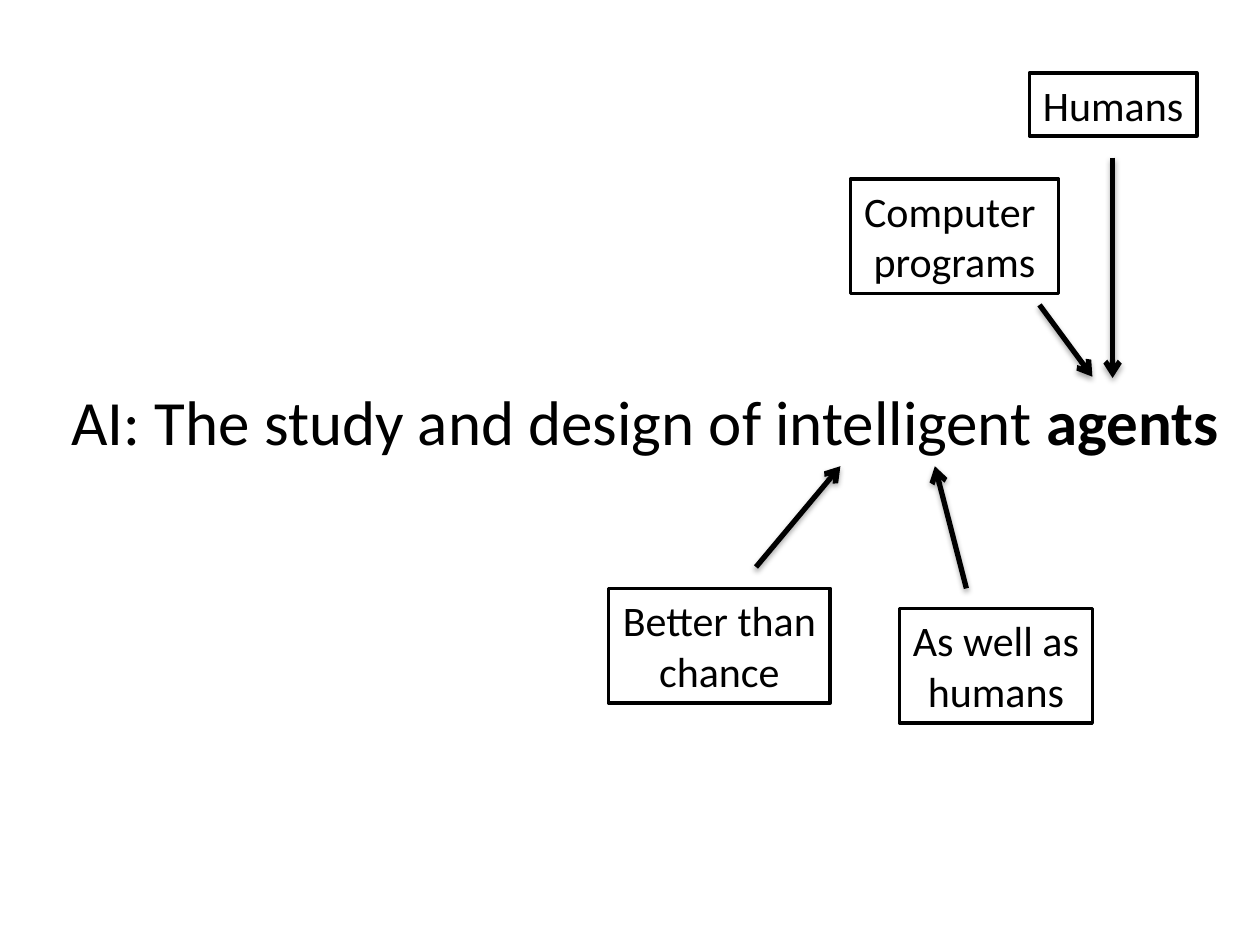
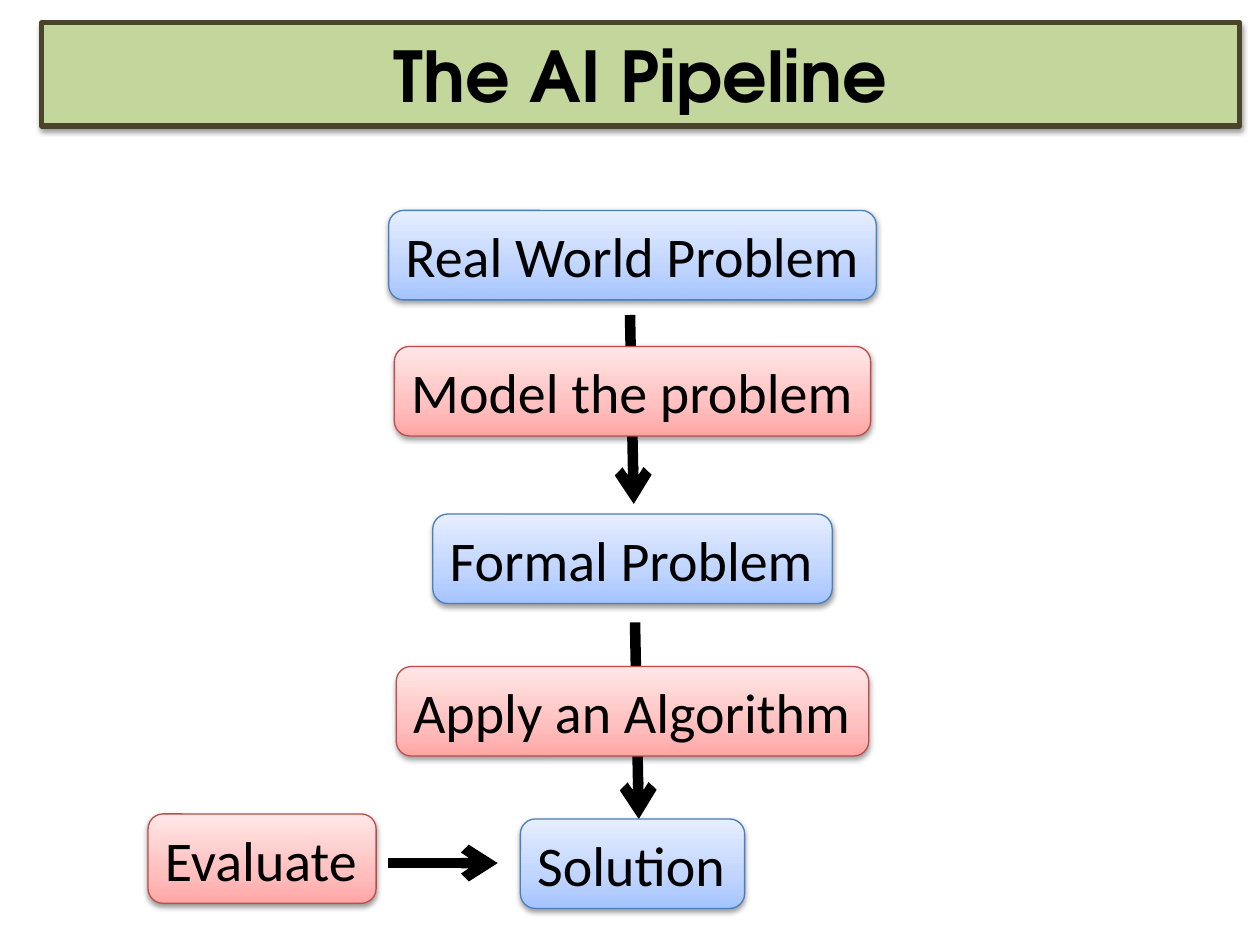
from lxml.etree import SubElement
from pptx import Presentation
from pptx.dml.color import RGBColor
from pptx.enum.shapes import MSO_CONNECTOR as CONN, MSO_SHAPE as SHAPE
from pptx.enum.text import MSO_ANCHOR as ANCHOR, MSO_AUTO_SIZE as FIT, PP_ALIGN as ALIGN
from pptx.oxml.ns import qn
from pptx.util import Inches, Pt

COLORS = {"black": "000000", "white": "FFFFFF", "band": "C3D69B", "band_line": "4A452A"}
STAGES = {
    "problem": {"line": "4B7EBC", "stops": [(0, "A4C4FF"), (35, "BFD4FF"), (100, "E6EEFF")]},
    "action": {"line": "BF4C48", "stops": [(0, "FFA6A5"), (35, "FFC0BF"), (100, "FFE7E7")]},
}
BODY, HEADING = "Calibri", "TeX Gyre Adventor"
BOX_SHADOW, ARROW_SHADOW = (38, 1.57), (35, 1.81)

STATEMENT = [("AI: The study and design of intelligent ", False), ("agents", True)]
NOTES = [
    (["Computer ", "programs"], (6.75, 1.42, 1.65, 0.91)),
    (["Better than", "chance"], (4.83, 4.67, 1.76, 0.91)),
    (["As well as", "humans"], (7.14, 4.83, 1.53, 0.91)),
    (["Humans"], (8.17, 0.58, 1.33, 0.5)),
]
NOTE_ARROWS = [
    (8.25, 2.42, 8.67, 2.99),
    (6, 4.5, 6.67, 3.7),
    (7.67, 4.67, 7.42, 3.7),
    (8.83, 1.25, 8.83, 3),
]

TITLE = "The AI Pipeline"
AXIS, EVALUATE_AXIS, STEP_HEIGHT = 5.02, 2.08, 0.71
STEPS = [
    ("Real World Problem", "problem", AXIS, 1.67, 3.87),
    ("Model the problem", "action", AXIS, 2.75, 3.78),
    ("Formal Problem", "problem", AXIS, 4.08, 3.17),
    ("Apply an Algorithm", "action", AXIS, 5.29, 3.75),
    ("Solution", "problem", AXIS, 6.5, 1.78),
    ("Evaluate", "action", EVALUATE_AXIS, 6.46, 1.81),
]
STEP_ARROWS = [
    (5, 2.5, 5.03, 4),
    (5.04, 4.94, 5.07, 6.5),
    (3.08, 6.85, 3.95, 6.85),
]


def rgb(value):
    return RGBColor.from_string(value)


def set_line(shape, color, width):
    shape.line.color.rgb = rgb(color)
    shape.line.width = Pt(width)


def set_effects(shape, shadow=None):
    effects = SubElement(shape._element.spPr, qn("a:effectLst"))
    if shadow:
        alpha, dist = shadow
        outer = SubElement(effects, qn("a:outerShdw"), blurRad=str(Pt(3.15)),
                           dist=str(Pt(dist)), dir="5400000", rotWithShape="0")
        color = SubElement(outer, qn("a:srgbClr"), val=COLORS["black"])
        SubElement(color, qn("a:alpha"), val=str(alpha * 1000))


def set_gradient(shape, stops):
    shape.fill.gradient()
    shape.fill.gradient_angle = 90
    stop_list = shape._element.spPr.find(".//" + qn("a:gsLst"))
    stop_list.clear()
    for pos, color in stops:
        stop = SubElement(stop_list, qn("a:gs"), pos=str(pos * 1000))
        SubElement(stop, qn("a:srgbClr"), val=color)


def set_font(p, size, name=BODY, align=ALIGN.CENTER):
    p.alignment = align
    p.font.size, p.font.name = Pt(size), name
    p.font.color.rgb = rgb(COLORS["black"])


def add_arrow(s, ends, width, shadow=None):
    arrow = s.shapes.add_connector(CONN.STRAIGHT, *map(Inches, ends))
    set_line(arrow, COLORS["black"], width)
    SubElement(arrow.line._get_or_add_ln(), qn("a:tailEnd"), type="arrow")
    set_effects(arrow, shadow)


def add_box(s, kind, box, lines, size, align, anchor):
    sp = s.shapes.add_shape(kind, *map(Inches, box))
    tf = sp.text_frame
    tf.text = "\n".join(lines)
    tf.word_wrap, tf.auto_size, tf.vertical_anchor = False, FIT.SHAPE_TO_FIT_TEXT, anchor
    for p in tf.paragraphs:
        set_font(p, size, align=align)
    return sp


def build_definition(prs):
    s = prs.slides.add_slide(prs.slide_layouts[6])
    tf = s.shapes.add_textbox(*map(Inches, (-0.17, 2.99, 10.58, 0.71))).text_frame
    tf.word_wrap, tf.auto_size = True, FIT.SHAPE_TO_FIT_TEXT
    p = tf.paragraphs[0]
    set_font(p, 36)
    for text, bold in STATEMENT:
        r = p.add_run()
        r.text, r.font.bold = text, bold
    for lines, box in NOTES:
        sp = add_box(s, SHAPE.RECTANGLE, box, lines, 24, ALIGN.CENTER, ANCHOR.TOP)
        sp.fill.solid()
        sp.fill.fore_color.rgb = rgb(COLORS["white"])
        set_line(sp, COLORS["black"], 2)
        set_effects(sp)
    for ends in NOTE_ARROWS:
        add_arrow(s, ends, 3, ARROW_SHADOW)


def build_pipeline(prs):
    s = prs.slides.add_slide(prs.slide_layouts[5])
    title = s.shapes.title
    title.left, title.top, title.width, title.height = map(Inches, (0.33, 0.18, 9.51, 0.82))
    title.fill.solid()
    title.fill.fore_color.rgb = rgb(COLORS["band"])
    set_line(title, COLORS["band_line"], 3)
    set_effects(title, BOX_SHADOW)
    tf = title.text_frame
    tf.text = TITLE
    tf.auto_size, tf.vertical_anchor = FIT.NONE, ANCHOR.MIDDLE
    set_font(tf.paragraphs[0], 40, HEADING)
    tf.paragraphs[0].font.bold = True
    for ends in STEP_ARROWS:
        add_arrow(s, ends, 6)
    for text, stage, axis, top, width in STEPS:
        box = (axis - width / 2, top, width, STEP_HEIGHT)
        sp = add_box(s, SHAPE.ROUNDED_RECTANGLE, box, [text], 32, ALIGN.LEFT, ANCHOR.MIDDLE)
        set_gradient(sp, STAGES[stage]["stops"])
        set_line(sp, STAGES[stage]["line"], 0.75)
        set_effects(sp, BOX_SHADOW)


def main():
    prs = Presentation()
    prs.slide_width, prs.slide_height = Inches(10), Inches(7.5)
    build_definition(prs)
    build_pipeline(prs)
    prs.save("out.pptx")


if __name__ == "__main__":
    main()
